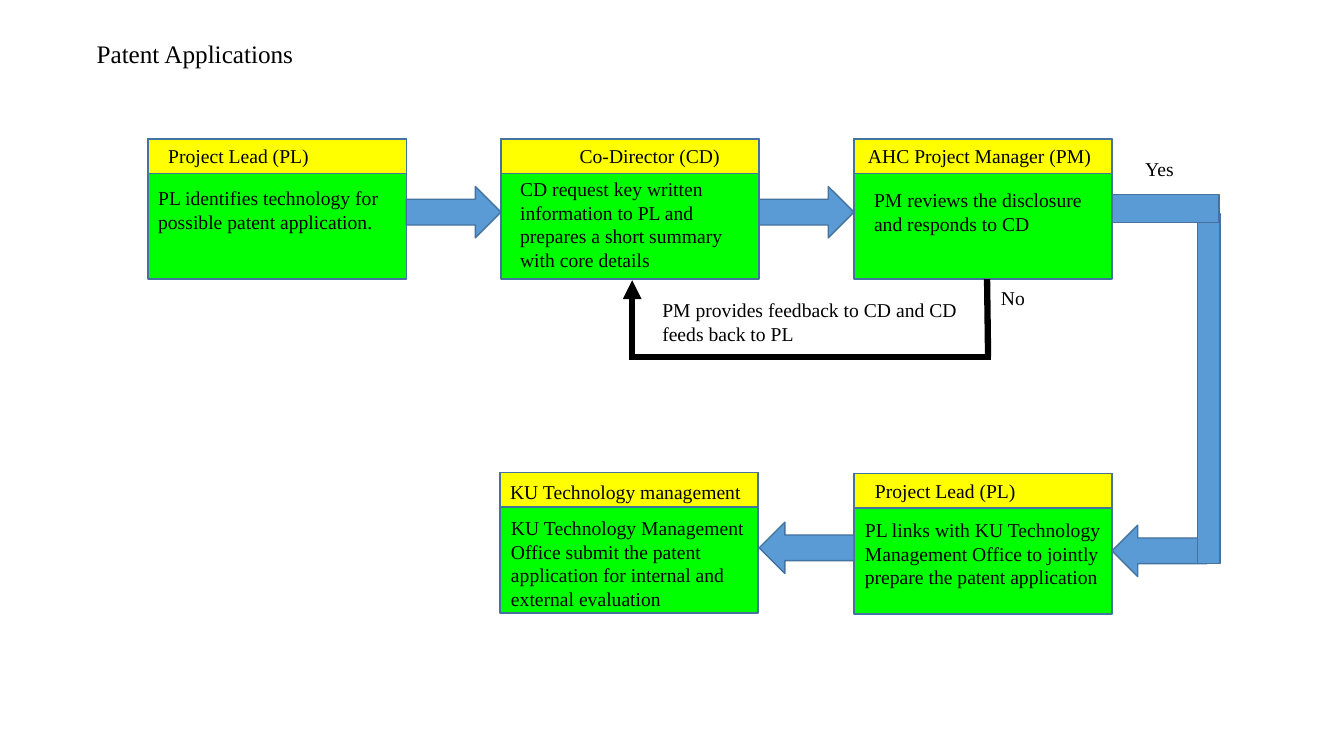
from pptx import Presentation
from pptx.dml.color import RGBColor as RGB
from pptx.enum.shapes import MSO_CONNECTOR, MSO_SHAPE as SHAPE
from pptx.oxml.ns import qn
from pptx.util import Pt
from lxml.etree import SubElement

PX = 9144  # 100 px to the inch
THEME = {
    "font": "Times New Roman", "title": Pt(18), "text": Pt(14),
    "ink": RGB(0, 0, 0), "body": RGB(0, 255, 0), "head": RGB(255, 255, 0),
    "arrow": RGB(0x5B, 0x9B, 0xD5), "edge": RGB(0x43, 0x73, 0x9E),
    "edge_width": Pt(1), "loop_width": Pt(4.5),
}

prs = Presentation()
prs.slide_width, prs.slide_height = 1333 * PX, 750 * PX
slide = prs.slides.add_slide(prs.slide_layouts[6])


def add_block(kind, box, fill):
    sp = slide.shapes.add_shape(kind, *(v * PX for v in box))
    sp.shadow.inherit = False
    sp.fill.solid()
    sp.fill.fore_color.rgb = THEME[fill]
    sp.line.color.rgb = THEME["edge"]
    sp.line.width = THEME["edge_width"]


def add_text(text, box, size="text", wrap=True):
    tf = slide.shapes.add_textbox(*(v * PX for v in box)).text_frame
    tf.word_wrap = wrap
    p = tf.paragraphs[0]
    p.text = text
    p.font.name, p.font.size = THEME["font"], THEME[size]
    p.font.color.rgb = THEME["ink"]


# Title
add_text("Patent Applications", (86, 33, 217, 40), "title", wrap=False)

# Steps: left, top, heading and its box, description and its box
STEP_W, STEP_H, HEAD_H = 256, 139, 34
steps = [
    (147, 138, "Project Lead (PL)", (157, 138, 236, 34),
     "PL identifies technology for possible patent application.",
     (147, 180, 256, 57)),
    (497, 138, "Co-Director (CD)", (565, 138, 191, 34),
     "CD request key written information to PL and prepares a short "
     "summary with core details", (506, 171, 242, 104)),
    (847, 138, "AHC Project Manager (PM)", (851, 138, 258, 34),
     "PM reviews the disclosure and responds to CD", (857, 182, 242, 57)),
    (847, 470, "Project Lead (PL)", (858, 470, 236, 34),
     "PL links with KU Technology Management Office to jointly prepare "
     "the patent application", (848, 509, 256, 81)),
    (496, 469, "KU Technology management", (496, 471, 255, 34),
     "KU Technology Management Office submit the patent application for "
     "internal and external evaluation", (497, 507, 256, 104)),
]
for left, top, heading, heading_box, detail, detail_box in steps:
    add_block(SHAPE.RECTANGLE, (left, top, STEP_W, STEP_H), "body")
    add_block(SHAPE.RECTANGLE, (left, top, STEP_W, HEAD_H), "head")
    add_text(heading, heading_box)
    add_text(detail, detail_box)

# Arrows between steps
for kind, left, top in [
    (SHAPE.RIGHT_ARROW, 403, 185), (SHAPE.RIGHT_ARROW, 753, 185),
    (SHAPE.LEFT_ARROW, 753, 518), (SHAPE.LEFT_ARROW, 1103, 521),
]:
    add_block(kind, (left, top, 94, 51), "arrow")

# "Yes" route down to the second row
for bar in [(1188, 212, 22, 347), (1103, 193, 106, 28)]:
    add_block(SHAPE.RECTANGLE, bar, "arrow")
add_text("Yes", (1126, 151, 49, 34), wrap=False)

# "No" feedback loop
for ends, arrowhead in [
    ((627, 357, 627, 278), True),
    ((627, 354, 983, 354), False),
    ((980, 354, 979, 277), False),
]:
    line = slide.shapes.add_connector(MSO_CONNECTOR.STRAIGHT, *(v * PX for v in ends))
    line.line.color.rgb = THEME["ink"]
    line.line.width = THEME["loop_width"]
    if arrowhead:
        SubElement(line.line._get_or_add_ln(), qn("a:tailEnd"), type="triangle")
    SubElement(line._element.spPr, qn("a:effectLst"))
add_text("PM provides feedback to CD and CD feeds back to PL", (647, 291, 331, 57))
add_text("No", (983, 279, 44, 34), wrap=False)

prs.save("out.pptx")
